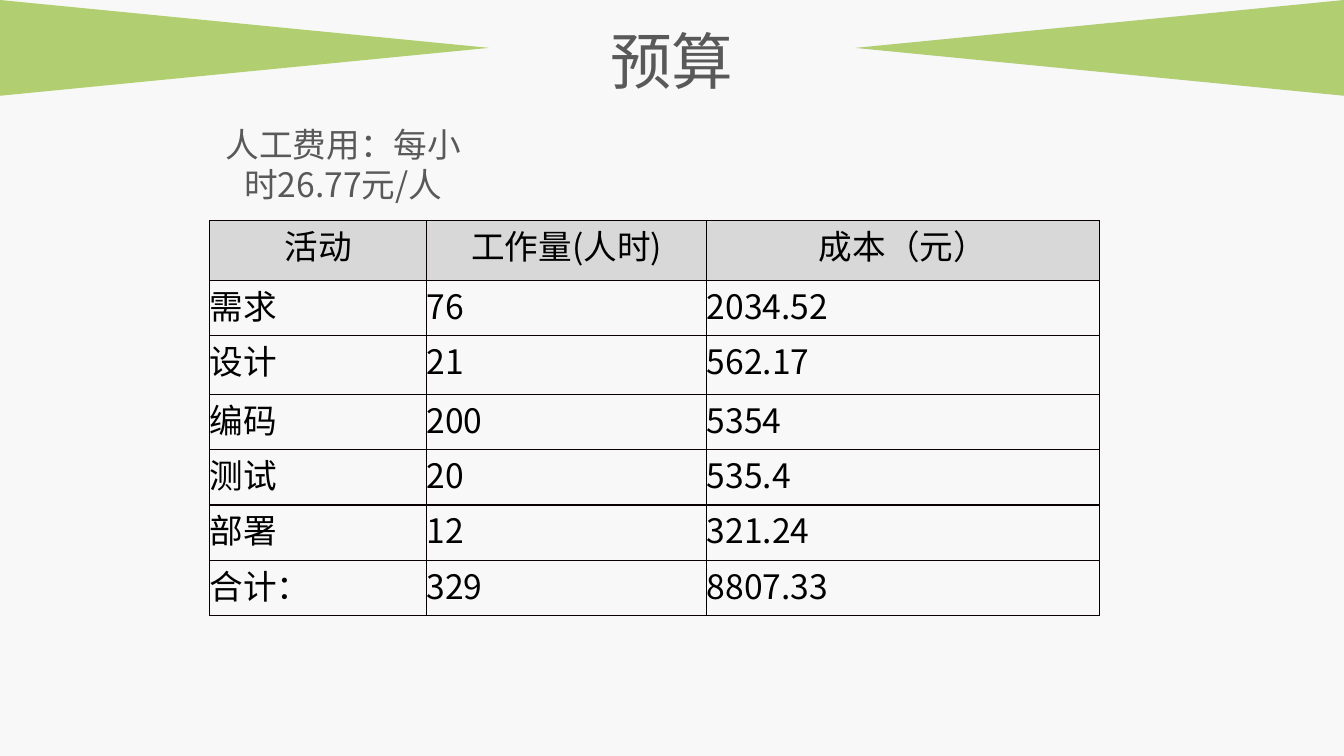
from dataclasses import dataclass

from lxml import etree
from pptx import Presentation
from pptx.dml.color import RGBColor
from pptx.enum.shapes import MSO_SHAPE
from pptx.enum.text import MSO_AUTO_SIZE, PP_ALIGN
from pptx.oxml.ns import qn
from pptx.util import Inches, Pt

TRIANGLE = MSO_SHAPE.ISOSCELES_TRIANGLE
GROW = MSO_AUTO_SIZE.SHAPE_TO_FIT_TEXT
CENTER, LEFT = PP_ALIGN.CENTER, PP_ALIGN.LEFT


@dataclass(frozen=True)
class Theme:
    font: str = "Noto Sans CJK SC"
    background: str = "F8F8F8"
    accent: str = "B1CE71"
    heading: str = "595959"
    cell_text: str = "000000"
    header_fill: str = "D8D8D8"
    title_size: int = 44
    body_size: int = 24
    frame_line: tuple = ("080000", 1)
    inner_line: tuple = ("000000", 0.75)


THEME = Theme()
COLUMN_WIDTHS = (2.15, 2.78, 3.89)
ROW_HEIGHTS = (0.59, 0.55, 0.58, 0.55, 0.55, 0.55, 0.55)
BUDGET = (
    ("活动", "工作量(人时)", "成本（元）"),
    ("需求", "76", "2034.52"),
    ("设计", "21", "562.17"),
    ("编码", "200", "5354"),
    ("测试", "20", "535.4"),
    ("部署", "12", "321.24"),
    ("合计：", "329", "8807.33"),
)


def write_text(text_frame, text, size, color, alignment):
    paragraph = text_frame.paragraphs[0]
    paragraph.alignment = alignment
    run = paragraph.add_run()
    run.text = text
    for name, value in {"name": THEME.font, "size": Pt(size)}.items():
        setattr(run.font, name, value)
    run.font.color.rgb = RGBColor.from_string(color)
    properties = run._r.get_or_add_rPr()
    etree.SubElement(properties, qn("a:ea"), typeface=THEME.font)


def add_wedge(slide, left, top, width, height, rotation):
    """Fill the box with a triangle turned by a quarter."""
    shape = slide.shapes.add_shape(
        TRIANGLE,
        Inches(left + (width - height) / 2), Inches(top + (height - width) / 2),
        Inches(height), Inches(width))
    shape.rotation = rotation
    shape.shadow.inherit = False
    shape.fill.solid()
    shape.fill.fore_color.rgb = RGBColor.from_string(THEME.accent)
    shape.line.fill.background()


def add_heading(slide, left, top, width, height, text, size):
    text_box = slide.shapes.add_textbox(*map(Inches, (left, top, width, height)))
    text_frame = text_box.text_frame
    for name, value in {"word_wrap": True, "auto_size": GROW}.items():
        setattr(text_frame, name, value)
    write_text(text_frame, text, size, THEME.heading, CENTER)


def set_borders(cell, lines):
    """Put the left, right, top and bottom lines ahead of the cell fill."""
    properties = cell._tc.get_or_add_tcPr()
    for index, (side, (color, width)) in enumerate(zip("LRTB", lines)):
        border = etree.Element(qn(f"a:ln{side}"), w=str(Pt(width)))
        fill = etree.SubElement(border, qn("a:solidFill"))
        etree.SubElement(fill, qn("a:srgbClr"), val=color)
        properties.insert(index, border)


def add_budget_table(slide, left, top):
    frame = slide.shapes.add_table(
        len(ROW_HEIGHTS), len(COLUMN_WIDTHS), Inches(left), Inches(top),
        Inches(sum(COLUMN_WIDTHS)), Inches(sum(ROW_HEIGHTS)))
    table = frame.table
    table.horz_banding = False
    for column, width in zip(table.columns, COLUMN_WIDTHS):
        column.width = Inches(width)
    for row, height in zip(table.rows, ROW_HEIGHTS):
        row.height = Inches(height)

    outer, inner = THEME.frame_line, THEME.inner_line
    vertical_lines = (outer, outer, inner, inner)
    for row_index, values in enumerate(BUDGET):
        is_header = row_index == 0
        for column_index, value in enumerate(values):
            cell = table.cell(row_index, column_index)
            for side in ("left", "right", "top", "bottom"):
                setattr(cell, f"margin_{side}", 0)
            if is_header:
                cell.fill.solid()
                cell.fill.fore_color.rgb = RGBColor.from_string(THEME.header_fill)
            else:
                cell.fill.background()
            sides = vertical_lines[column_index:column_index + 2]
            set_borders(cell, (*sides, outer, outer))
            write_text(cell.text_frame, value, THEME.body_size, THEME.cell_text,
                       CENTER if is_header else LEFT)


def build_budget_slide(presentation):
    slide = presentation.slides.add_slide(presentation.slide_layouts[6])
    slide.background.fill.solid()
    slide.background.fill.fore_color.rgb = RGBColor.from_string(THEME.background)
    wedge_width, wedge_height = 4.85, 0.95
    add_wedge(slide, 0, 0, wedge_width, wedge_height, 90)
    add_wedge(slide, 13.33 - wedge_width, 0, wedge_width, wedge_height, 270)
    add_heading(slide, 4.73, 0.18, 3.87, 0.84, "预算", THEME.title_size)
    add_budget_table(slide, 2.08, 2.19)
    add_heading(slide, 2.08, 1.18, 2.65, 0.91,
                "人工费用：每小时26.77元/人", THEME.body_size)


def main():
    presentation = Presentation()
    presentation.slide_width = Inches(13.33)
    presentation.slide_height = Inches(7.5)
    build_budget_slide(presentation)
    presentation.save("out.pptx")


if __name__ == "__main__":
    main()
